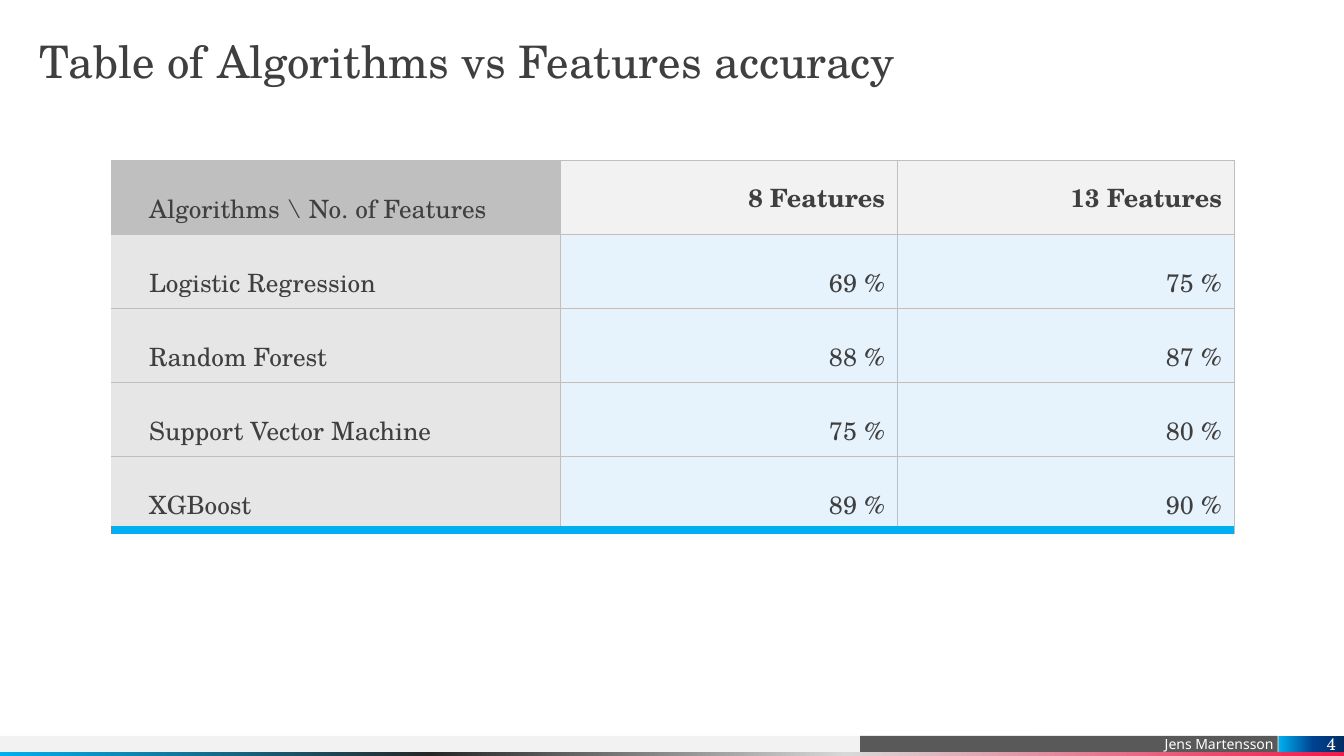
from dataclasses import dataclass

from lxml import etree
from pptx import Presentation
from pptx.dml.color import RGBColor
from pptx.enum.shapes import MSO_SHAPE
from pptx.enum.text import MSO_ANCHOR, MSO_AUTO_SIZE, PP_ALIGN
from pptx.oxml.ns import qn
from pptx.util import Inches, Pt

RECT = MSO_SHAPE.RECTANGLE
TOP, MIDDLE, BOTTOM = MSO_ANCHOR.TOP, MSO_ANCHOR.MIDDLE, MSO_ANCHOR.BOTTOM
LEFT, RIGHT = PP_ALIGN.LEFT, PP_ALIGN.RIGHT
NO_FIT = MSO_AUTO_SIZE.NONE
TITLE_ONLY = 5
WIDTH, HEIGHT = Inches(13.33), Inches(7.5)


@dataclass
class Theme:
    serif: str = "TeX Gyre Schola"
    sans: str = "Noto Sans"
    ink: str = "3F3F3F"
    white: str = "FFFFFF"
    pale: str = "F2F2F2"
    dark: str = "595959"
    rule: str = "BFBFBF"
    label: str = "E7E6E6"
    value: str = "E6F2FC"
    accent: str = "00B0F0"
    title: int = 32
    body: int = 18
    page: int = 12
    foot: int = 10


THEME = Theme()

# Gradient stops from left to right: percent, colour
BAR = [(0, THEME.accent), (32, "262626"), (63, "D8D8D8"), (100, "F2194A")]
BADGE = [(0, THEME.accent), (53, "004290"), (100, "002D63")]

ROWS = [
    ("Algorithms \\ No. of Features", "8 Features", "13 Features"),
    ("Logistic Regression", "69 %", "75 %"),
    ("Random Forest", "88 %", "87 %"),
    ("Support Vector Machine", "75 %", "80 %"),
    ("XGBoost", "89 %", "90 %"),
]
SHARES = (0.4, 0.3, 0.3)


def area(left, top, width, height):
    """Turn percentages of the slide into lengths."""
    return (int(WIDTH * left / 100), int(HEIGHT * top / 100),
            int(WIDTH * width / 100), int(HEIGHT * height / 100))


def style(frame, size, color=THEME.ink, font=THEME.serif, align=LEFT, bold=False):
    for para in frame.paragraphs:
        para.alignment = align
        for run in para.runs:
            run.font.name = font
            run.font.size = Pt(size)
            run.font.bold = bold
            run.font.color.rgb = RGBColor.from_string(color)


def inset(box, left, top, right, bottom):
    box.margin_left, box.margin_top = Inches(left), Inches(top)
    box.margin_right, box.margin_bottom = Inches(right), Inches(bottom)


def blend(shape, stops):
    shape.fill.gradient()
    shape.fill.gradient_angle = 0
    group = shape._element.spPr.find(qn("a:gradFill")).find(qn("a:gsLst"))
    for old in list(group):
        group.remove(old)
    for place, color in stops:
        stop = etree.SubElement(group, qn("a:gs"), pos=str(place * 1000))
        etree.SubElement(stop, qn("a:srgbClr"), val=color)


def strip(slide, place, fill):
    """Add a band filled with one colour or a list of stops."""
    shape = slide.shapes.add_shape(RECT, *area(*place))
    shape.shadow.inherit = False
    shape.line.fill.background()
    if isinstance(fill, str):
        shape.fill.solid()
        shape.fill.fore_color.rgb = RGBColor.from_string(fill)
    else:
        blend(shape, fill)
    return shape


def note(shape, text, size, font, anchor, gap):
    frame = shape.text_frame
    frame.text = text
    frame.vertical_anchor = anchor
    inset(frame, 0, 0, gap, 0)
    style(frame, size, THEME.white, font, RIGHT)


def edge(cell, side, color, points):
    """Draw one cell border, or hide it when there is no colour."""
    line = etree.SubElement(cell._tc.get_or_add_tcPr(), qn("a:ln" + side),
                            w=str(Pt(points)))
    if color:
        fill = etree.SubElement(line, qn("a:solidFill"))
        etree.SubElement(fill, qn("a:srgbClr"), val=color)
    else:
        etree.SubElement(line, qn("a:noFill"))


def fill_cell(cell, text, row, col):
    head, first, last = row == 0, col == 0, row == len(ROWS) - 1
    cell.text = text
    cell.vertical_anchor = MIDDLE if head and not first else BOTTOM
    inset(cell, 0.38 if first else 0.12, 0.07, 0.12, 0.07)
    style(cell.text_frame, THEME.body, align=LEFT if first else RIGHT,
          bold=head and not first)

    # Borders come before the fill in the cell's properties
    edge(cell, "L", None if first else THEME.rule, 0.75)
    edge(cell, "R", THEME.rule, 0.75)
    edge(cell, "T", THEME.rule, 0.75)
    edge(cell, "B", *((THEME.accent, 6) if last else (THEME.rule, 0.75)))
    if head:
        color = THEME.rule if first else THEME.pale
    else:
        color = THEME.label if first else THEME.value
    cell.fill.solid()
    cell.fill.fore_color.rgb = RGBColor.from_string(color)


def add_grid(slide, place):
    box = area(*place)
    table = slide.shapes.add_table(len(ROWS), len(SHARES), *box).table
    table.first_row = table.horz_banding = False
    for column, share in zip(table.columns, SHARES):
        column.width = int(box[2] * share)
    for row, texts in enumerate(ROWS):
        for col, text in enumerate(texts):
            fill_cell(table.cell(row, col), text, row, col)


def add_title(slide, text, place):
    title = slide.shapes.title
    title.left, title.top, title.width, title.height = area(*place)
    frame = title.text_frame
    frame.text = text
    frame.word_wrap = True
    frame.auto_size = NO_FIT
    frame.vertical_anchor = TOP
    frame.paragraphs[0].line_spacing = 0.9
    inset(frame, 0, 0, 0, 0)
    style(frame, THEME.title)


def main():
    deck = Presentation()
    deck.slide_width, deck.slide_height = WIDTH, HEIGHT
    slide = deck.slides.add_slide(deck.slide_layouts[TITLE_ONLY])

    # Footer bands
    strip(slide, (0, 97.33, 77.12, 2.13), THEME.pale)
    name = strip(slide, (64, 97.33, 31.06, 2.13), THEME.dark)
    note(name, "Jens Martensson", THEME.foot, THEME.sans, BOTTOM, 0.04)
    strip(slide, (0, 99.47, 100, 0.53), BAR)

    # Title and table
    add_title(slide, "Table of Algorithms vs Features accuracy",
              (2.93, 5.2, 94.15, 7.87))
    add_grid(slide, (8.25, 21.2, 83.57, 48.93))

    # Page number
    page = strip(slide, (95.12, 97.33, 4.88, 2.13), BADGE)
    note(page, "4", THEME.page, THEME.serif, MIDDLE, 0.08)

    deck.save("out.pptx")


if __name__ == "__main__":
    main()
